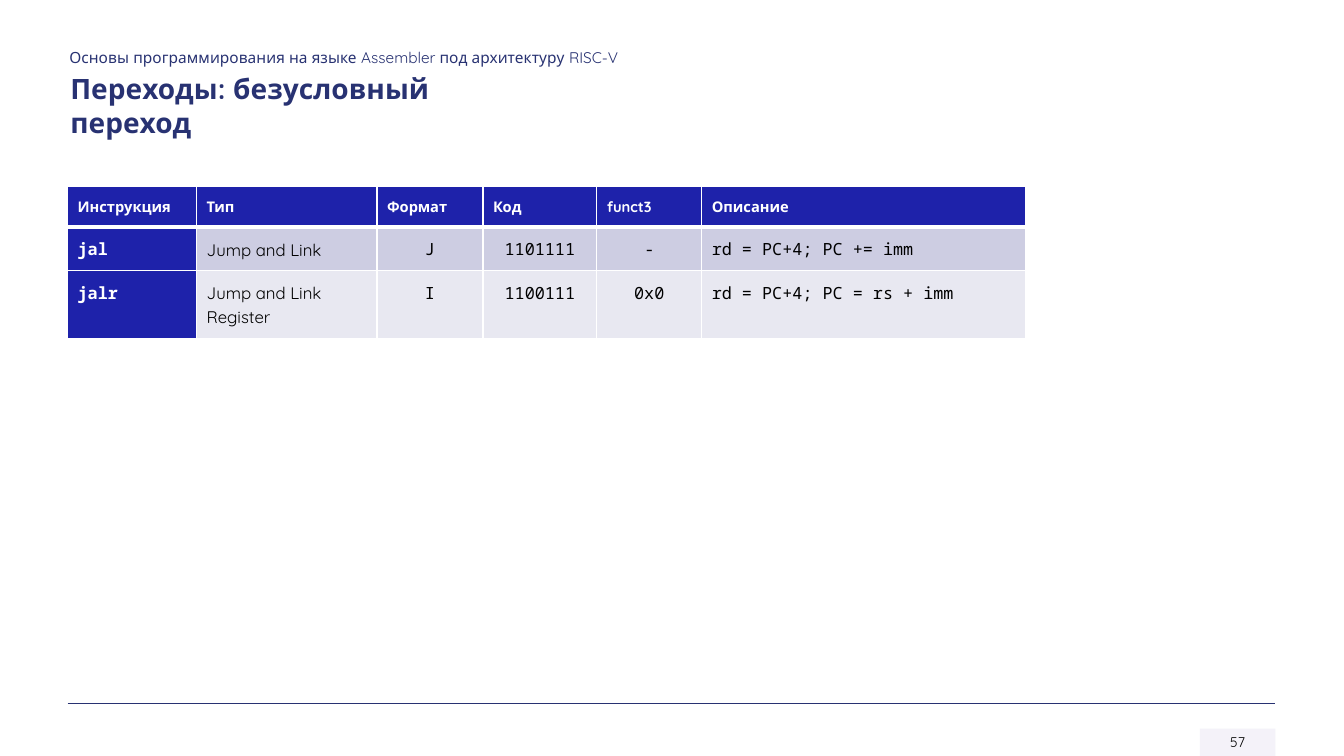
from dataclasses import dataclass

from lxml import etree
from pptx import Presentation, util as u
from pptx.dml.color import RGBColor
from pptx.enum import shapes, text
from pptx.oxml import ns

PX = 9144
SANS = "Quicksand"
MONO = "Noto Sans Mono"
COLOURS = {
    "navy": "283272",
    "blue": "1E22AA",
    "white": "FFFFFF",
    "black": "000000",
    "band_dark": "CDCDE2",
    "band_light": "E8E8F1",
    "badge": "F3F1F9",
}
LEFT, CENTER = text.PP_ALIGN.LEFT, text.PP_ALIGN.CENTER


@dataclass(frozen=True)
class Style:
    size: float
    colour: str
    name: str = SANS
    bold: bool = False
    align: text.PP_ALIGN = LEFT


@dataclass(frozen=True)
class Label:
    content: str
    left: int
    top: int
    width: int
    height: int
    style: Style


@dataclass(frozen=True)
class Column:
    heading: str
    width: int
    style: Style


HEADING = Style(10.5, "white", bold=True)
CODE = Style(12, "black", MONO)
CODE_CENTERED = Style(12, "black", MONO, align=CENTER)

LABELS = [
    Label("Основы программирования на языке Assembler под архитектуру RISC-V",
          59, 43, 1024, 29, Style(11, "navy")),
    Label("Переходы: безусловный переход", 60, 66, 479, 44, Style(20, "navy", bold=True)),
]
COLUMNS = [
    Column("Инструкция", 128, Style(12, "white", MONO, True)),
    Column("Тип", 179, Style(12, "black")),
    Column("Формат", 105, CODE_CENTERED),
    Column("Код", 113, CODE_CENTERED),
    Column("funct3", 104, CODE_CENTERED),
    Column("Описание", 321, CODE),
]
INSTRUCTIONS = [
    ["jal", "Jump and Link", "J", "1101111", "-", "rd = PC+4; PC += imm"],
    ["jalr", "Jump and Link Register", "I", "1100111", "0x0", "rd = PC+4; PC = rs + imm"],
]
ROW_HEIGHTS = [40, 43, 68]
ROW_FILLS = ["blue", "band_dark", "band_light"]


def px(length: int) -> u.Emu:
    return u.Emu(length * PX)


def rgb(colour: str) -> RGBColor:
    return RGBColor.from_string(COLOURS[colour])


def write(frame, content: str, style: Style):
    frame.text = content
    frame.word_wrap = True
    para = frame.paragraphs[0]
    para.alignment = style.align
    for span in para.runs:
        span.font.name = style.name
        span.font.size = u.Pt(style.size)
        span.font.bold = style.bold
        span.font.color.rgb = rgb(style.colour)
    return para


def add_label(page, label: Label) -> None:
    box = page.shapes.add_textbox(px(label.left), px(label.top), px(label.width), px(label.height))
    write(box.text_frame, label.content, label.style)


def add_border(cell, side: str, points: int) -> None:
    properties = cell._tc.get_or_add_tcPr()
    border = etree.SubElement(properties, ns.qn(f"a:ln{side}"), w=str(u.Pt(points)))
    fill = etree.SubElement(border, ns.qn("a:solidFill"))
    etree.SubElement(fill, ns.qn("a:srgbClr"), val=COLOURS["white"])


def fill_cell(cell, content: str, row: int, column: int) -> None:
    style = HEADING if row == 0 else COLUMNS[column].style
    para = write(cell.text_frame, content, style)
    para.line_spacing = 1.07 if row == 0 else u.Pt(16.8)
    para.space_after = u.Pt(8)
    cell.margin_left = cell.margin_right = px(10)
    cell.margin_top = cell.margin_bottom = px(10)
    borders = {"L": 1, "R": 1, "T": 3 if row == 1 else 1, "B": 3 if row == 0 else 1}
    for side, points in borders.items():
        add_border(cell, side, points)
    cell.fill.solid()
    cell.fill.fore_color.rgb = rgb("blue" if column == 0 else ROW_FILLS[row])


def add_instruction_table(page) -> None:
    rows = [[column.heading for column in COLUMNS], *INSTRUCTIONS]
    width = sum(column.width for column in COLUMNS)
    table = page.shapes.add_table(len(rows), len(COLUMNS), px(67), px(185),
                                  px(width), px(sum(ROW_HEIGHTS))).table
    for index, column in enumerate(COLUMNS):
        table.columns[index].width = px(column.width)
    for row, contents in enumerate(rows):
        table.rows[row].height = px(ROW_HEIGHTS[row])
        for column, content in enumerate(contents):
            fill_cell(table.cell(row, column), content, row, column)


def add_footer(page) -> None:
    badge = page.shapes.add_shape(shapes.MSO_SHAPE.RECTANGLE, px(1190), px(723), px(75), px(27))
    badge.shadow.inherit = False
    badge.line.fill.background()
    badge.fill.solid()
    badge.fill.fore_color.rgb = rgb("badge")
    colour = badge._element.spPr.find(f".//{ns.qn('a:srgbClr')}")
    etree.SubElement(colour, ns.qn("a:alpha"), val="90000")
    write(badge.text_frame, "57", Style(10, "black", align=CENTER))
    badge.text_frame.vertical_anchor = text.MSO_ANCHOR.MIDDLE

    rule = page.shapes.add_connector(shapes.MSO_CONNECTOR.STRAIGHT,
                                     px(67), px(698), px(1265), px(698))
    rule.line.color.rgb = rgb("navy")
    rule.line.width = u.Pt(1)
    etree.SubElement(rule._element.spPr, ns.qn("a:effectLst"))


def main() -> None:
    deck = Presentation()
    deck.slide_width, deck.slide_height = px(1333), px(750)
    page = deck.slides.add_slide(deck.slide_layouts[6])
    add_footer(page)
    for label in LABELS:
        add_label(page, label)
    add_instruction_table(page)
    deck.save("out.pptx")


if __name__ == "__main__":
    main()
